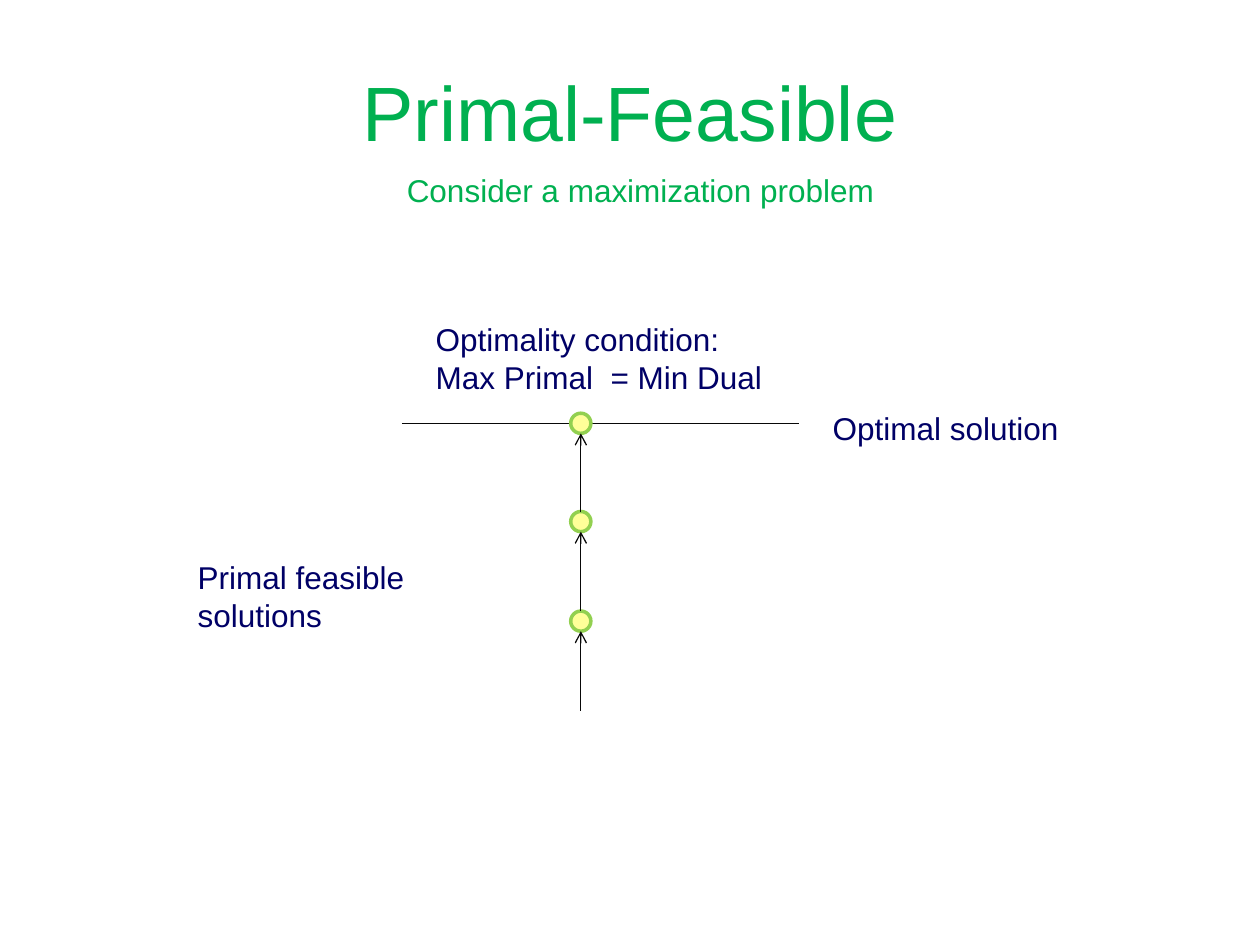
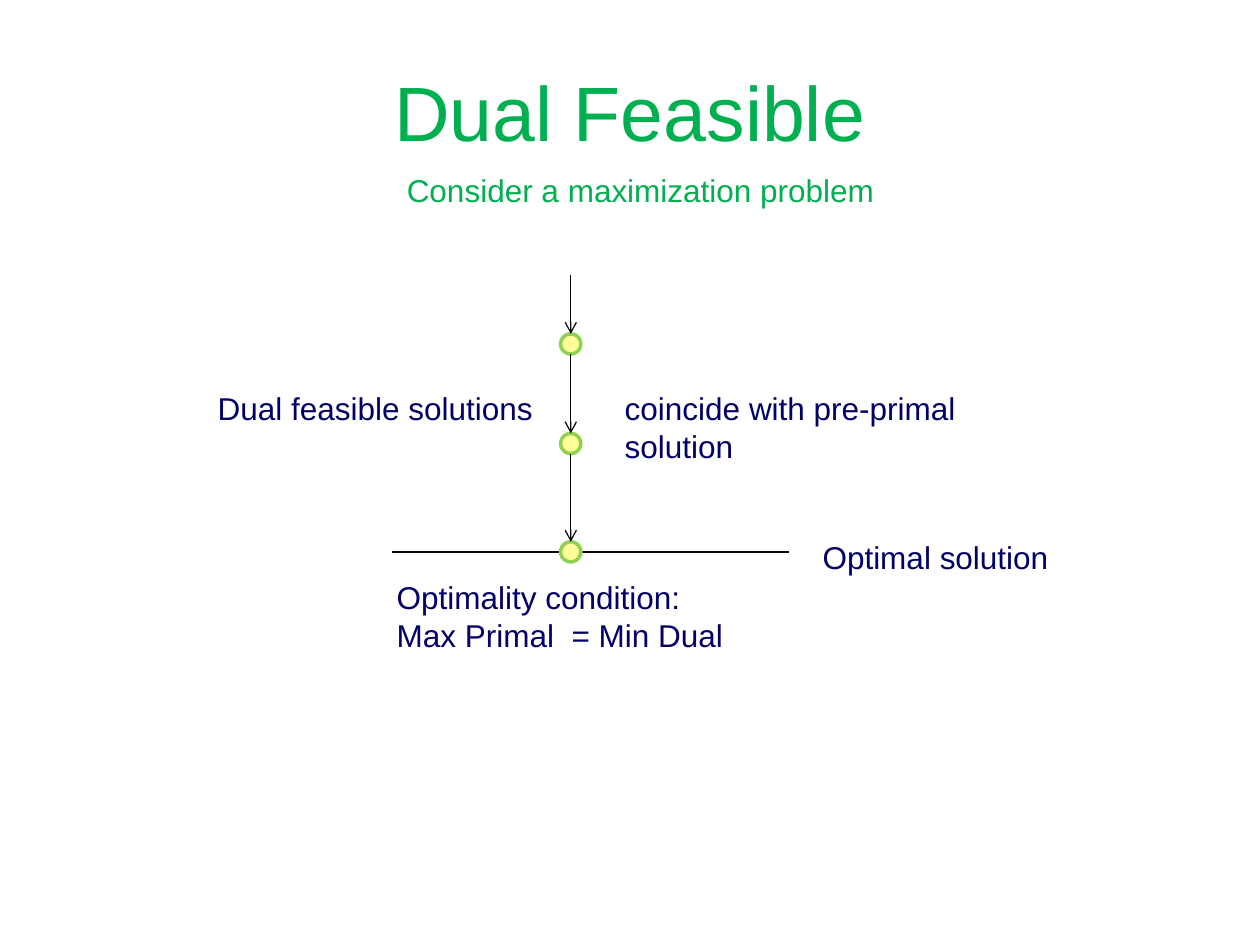
from dataclasses import dataclass
from itertools import pairwise

from lxml.etree import SubElement
from pptx import Presentation
from pptx.dml.color import RGBColor
from pptx.enum.shapes import MSO_CONNECTOR as Connector, MSO_SHAPE as Shape
from pptx.enum.text import MSO_ANCHOR as Anchor, MSO_AUTO_SIZE as AutoSize, PP_ALIGN as Align
from pptx.oxml.ns import qn
from pptx.slide import Slide
from pptx.util import Emu, Inches, Pt

COLORS = {"heading": "00B050", "label": "000066", "line": "080808",
          "dot": "FFFF99", "dot edge": "92D050"}
FONT = "Arial"
TITLE_SIZE, TEXT_SIZE = 44, 18
TITLE_ONLY = 5

# Grid of 100 columns by 75 rows
WIDTH, HEIGHT = Inches(10), Inches(7.5)
COLUMN, ROW = WIDTH / 100, HEIGHT / 75
RADIUS = 0.8
LINE_LEFT, LINE_RIGHT = 14.2, 17.3
OPTIMAL_GAP = 19


@dataclass
class Label:
    lines: list[str]
    column: float
    row: float
    width: float
    color: str = "label"

    @property
    def height(self) -> float:
        return 1 + 3 * len(self.lines)


@dataclass
class SearchPage:
    title: str
    axis: float
    start: float
    dots: list[float]  # in the order visited; the last is optimal
    labels: list[Label]


SUBTITLE = Label(["Consider a maximization problem"], 31.3, 13.1, 39.1, "heading")


def condition(column: float, row: float) -> Label:
    return Label(["Optimality condition:", "Max Primal  = Min Dual"], column, row, 27.9)


PAGES = [
    SearchPage("Primal-Feasible", 46.1, 56.4, [49.3, 41.4, 33.6], [
        Label(["Primal feasible solutions"], 14.7, 43.8, 28.9),
        condition(33.6, 24.9),
    ]),
    SearchPage("Dual Feasible", 45.3, 21.8, [27.3, 35.2, 43.8], [
        Label(["Dual feasible solutions"], 16.3, 30.4, 27),
        Label(["coincide with pre-primal  solution"], 48.6, 30.4, 38.2),
        condition(30.5, 45.4),
    ]),
]


def across(columns: float) -> Emu:
    return Emu(round(columns * COLUMN))


def down(rows: float) -> Emu:
    return Emu(round(rows * ROW))


def place(left: float, top: float, width: float, height: float) -> tuple[Emu, ...]:
    return across(left), down(top), across(width), down(height)


def rgb(name: str) -> RGBColor:
    return RGBColor.from_string(COLORS[name])


def set_all(target: object, values: dict) -> None:
    for name, value in values.items():
        setattr(target, name, value)


def style_font(font, size: float, color: str) -> None:
    set_all(font, {"name": FONT, "size": Pt(size), "bold": False})
    font.color.rgb = rgb(color)


def add_title(page: Slide, text: str) -> None:
    title = page.shapes.title
    bounds = place(3.3, 2.5, 93.4, 12.5)
    set_all(title, dict(zip(("left", "top", "width", "height"), bounds)))
    title.text_frame.text = text
    title.text_frame.vertical_anchor = Anchor.MIDDLE
    para = title.text_frame.paragraphs[0]
    para.alignment = Align.CENTER
    style_font(para.font, TITLE_SIZE, "heading")


def add_label(page: Slide, label: Label) -> None:
    box = page.shapes.add_textbox(*place(label.column, label.row, label.width, label.height))
    frame = box.text_frame
    set_all(frame, {"word_wrap": False, "auto_size": AutoSize.SHAPE_TO_FIT_TEXT})
    frame.text = "\n".join(label.lines)
    for para in frame.paragraphs:
        para.alignment = Align.LEFT
        style_font(para.font, TEXT_SIZE, label.color)


def add_line(page: Slide, start: tuple[float, float], end: tuple[float, float],
             arrow: bool = False) -> None:
    line = page.shapes.add_connector(Connector.STRAIGHT, across(start[0]), down(start[1]),
                                     across(end[0]), down(end[1]))
    line.line.color.rgb = rgb("line")
    line.line.width = Pt(0.75)
    if arrow:
        SubElement(line.line._get_or_add_ln(), qn("a:tailEnd"), type="arrow")
    SubElement(line._element.spPr, qn("a:effectLst"))


def add_dot(page: Slide, column: float, row: float) -> None:
    dot = page.shapes.add_shape(Shape.OVAL, *place(column - RADIUS, row - RADIUS,
                                                   2 * RADIUS, 2 * RADIUS))
    dot.shadow.inherit = False
    dot.fill.solid()
    dot.fill.fore_color.rgb = rgb("dot")
    dot.line.color.rgb = rgb("dot edge")
    dot.line.width = Pt(2)


def add_search(page: Slide, search: SearchPage) -> None:
    axis, optimum = search.axis, search.dots[-1]
    toward = RADIUS if optimum > search.start else -RADIUS

    # Level of the optimal solution
    add_line(page, (axis - LINE_LEFT, optimum), (axis + LINE_RIGHT, optimum))
    add_label(page, Label(["Optimal solution"], axis + OPTIMAL_GAP, optimum - 1.6, 19.9))

    # Feasible solutions and the steps between them
    for row in search.dots:
        add_dot(page, axis, row)
    departures = [search.start - toward, *search.dots]
    for begin, end in pairwise(departures):
        add_line(page, (axis, begin + toward), (axis, end - toward), arrow=True)


def main() -> None:
    deck = Presentation()
    set_all(deck, {"slide_width": WIDTH, "slide_height": HEIGHT})
    for search in PAGES:
        page = deck.slides.add_slide(deck.slide_layouts[TITLE_ONLY])
        add_title(page, search.title)
        add_search(page, search)
        for label in [SUBTITLE, *search.labels]:
            add_label(page, label)
    deck.save("out.pptx")


if __name__ == "__main__":
    main()
